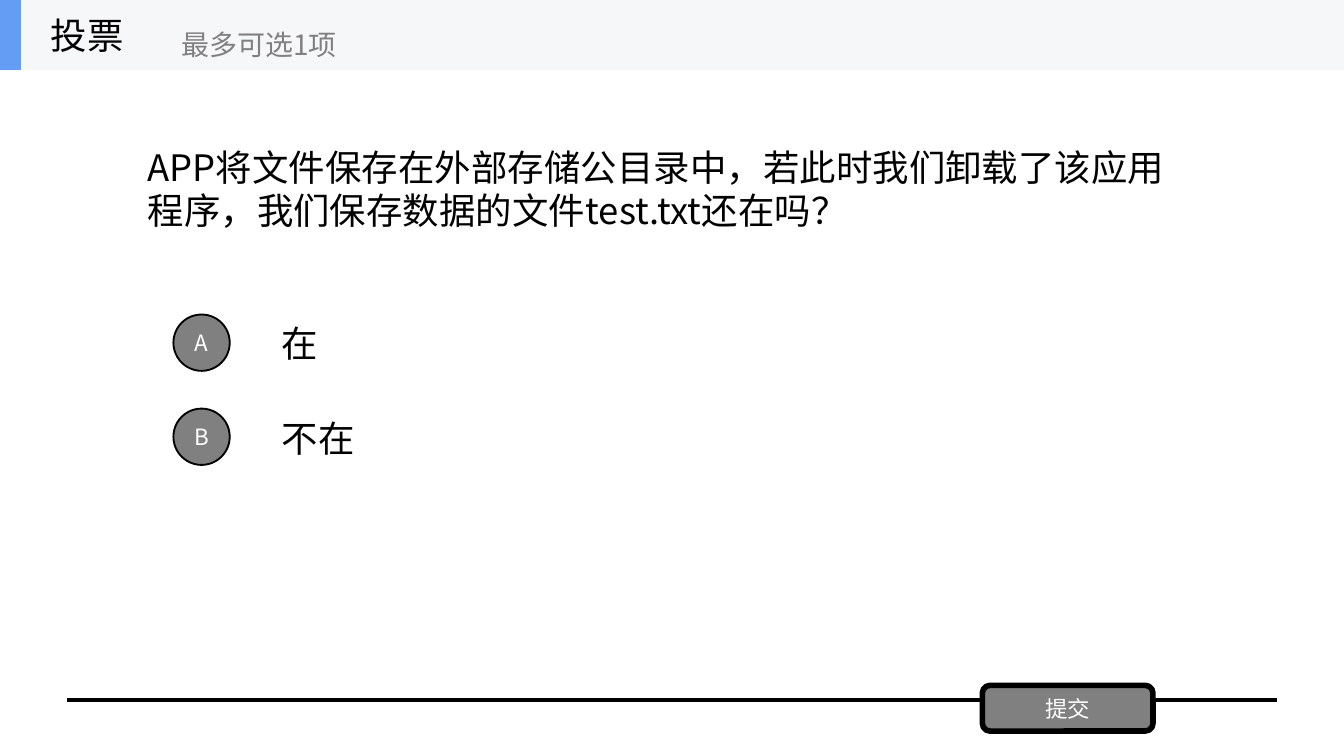
from dataclasses import dataclass
from typing import NamedTuple

from lxml import etree
from pptx import Presentation
from pptx import util as u
from pptx.dml.color import RGBColor
from pptx.enum import shapes, text
from pptx.oxml import ns


@dataclass(frozen=True)
class Theme:
    font: str = "Noto Sans CJK SC"
    ink: str = "000000"
    grey: str = "808080"
    white: str = "FFFFFF"
    band: str = "F6F7F8"
    accent: str = "639EF4"
    body_size: float = 19.5
    hint_size: float = 15
    label_size: float = 12


class Area(NamedTuple):
    left: float
    top: float
    width: float
    height: float


class Option(NamedTuple):
    letter: str
    answer: str


THEME = Theme()
OPTIONS = [Option("A", "在"), Option("B", "不在")]
FIRST_ROW_TOP = 164.9
ROW_STEP = 50.4
ROW_HEIGHT = 38.2
MARK_SIZE = 30.2
HEADER_HEIGHT = 37.5


def points(area: Area) -> list[u.Length]:
    return [u.Pt(value) for value in area]


def write(frame, words: str, size: float, color: str) -> None:
    frame.text = words
    frame.word_wrap = True
    frame.vertical_anchor = text.MSO_ANCHOR.MIDDLE
    for span in frame.paragraphs[0].runs:
        span.font.name = THEME.font
        span.font.size = u.Pt(size)
        span.font.color.rgb = RGBColor.from_string(color)
        east_asian = etree.SubElement(span._r.get_or_add_rPr(), ns.qn("a:ea"))
        east_asian.set("typeface", THEME.font)


def add_text(parent, area: Area, words: str, size: float = THEME.body_size,
             color: str = THEME.ink) -> None:
    box = parent.add_textbox(*points(area))
    write(box.text_frame, words, size, color)


def add_block(parent, kind, area: Area, fill: str, border: float = 0):
    block = parent.add_shape(kind, *points(area))
    block.shadow.inherit = False
    block.fill.solid()
    block.fill.fore_color.rgb = RGBColor.from_string(fill)
    if border:
        block.line.color.rgb = RGBColor.from_string(THEME.ink)
        block.line.width = u.Pt(border)
    else:
        block.line.fill.background()
    return block


def add_label(parent, kind, area: Area, words: str, border: float) -> None:
    block = add_block(parent, kind, area, THEME.grey, border)
    frame = block.text_frame
    frame.margin_left = frame.margin_right = 0
    frame.margin_top = frame.margin_bottom = 0
    write(frame, words, THEME.label_size, THEME.white)
    frame.paragraphs[0].alignment = text.PP_ALIGN.CENTER


def add_rule(parent, left: float, right: float, height: float) -> None:
    rule = parent.add_connector(
        shapes.MSO_CONNECTOR.STRAIGHT,
        u.Pt(left), u.Pt(height), u.Pt(right), u.Pt(height))
    rule.line.color.rgb = RGBColor.from_string(THEME.ink)
    rule.line.width = u.Pt(2.25)
    etree.SubElement(rule._element.spPr, ns.qn("a:effectLst"))


def add_header(parent) -> None:
    header = parent.add_group_shape().shapes
    rectangle = shapes.MSO_SHAPE.RECTANGLE
    add_block(header, rectangle, Area(0, 0, 720, HEADER_HEIGHT), THEME.band)
    add_block(header, rectangle, Area(0, 0, 11.25, HEADER_HEIGHT), THEME.accent)
    add_text(header, Area(20, 0, 112.5, HEADER_HEIGHT), "投票")
    add_text(header, Area(90, 8.6, 135, 30), "最多可选1项",
             THEME.hint_size, THEME.grey)


def main() -> None:
    deck = Presentation()
    deck.slide_width, deck.slide_height = u.Pt(720), u.Pt(405)
    page = deck.slides.add_slide(deck.slide_layouts[6]).shapes

    add_rule(page, 36, 684, 375)
    add_text(page, Area(72, 37.5, 576, 126.75),
             "APP将文件保存在外部存储公目录中，若此时我们卸载了该应用程序，"
             "我们保存数据的文件test.txt还在吗？")

    for row, option in enumerate(OPTIONS):
        top = FIRST_ROW_TOP + row * ROW_STEP
        mark_top = top + (ROW_HEIGHT - MARK_SIZE) / 2 - 0.4
        add_text(page, Area(144, top, 504, ROW_HEIGHT), option.answer)
        add_label(page, shapes.MSO_SHAPE.OVAL,
                  Area(92.9, mark_top, MARK_SIZE, MARK_SIZE), option.letter, 1)

    add_label(page, shapes.MSO_SHAPE.ROUNDED_RECTANGLE,
              Area(526.3, 367.2, 91.4, 24.5), "提交", 3)
    add_header(page)
    deck.save("out.pptx")


if __name__ == "__main__":
    main()
